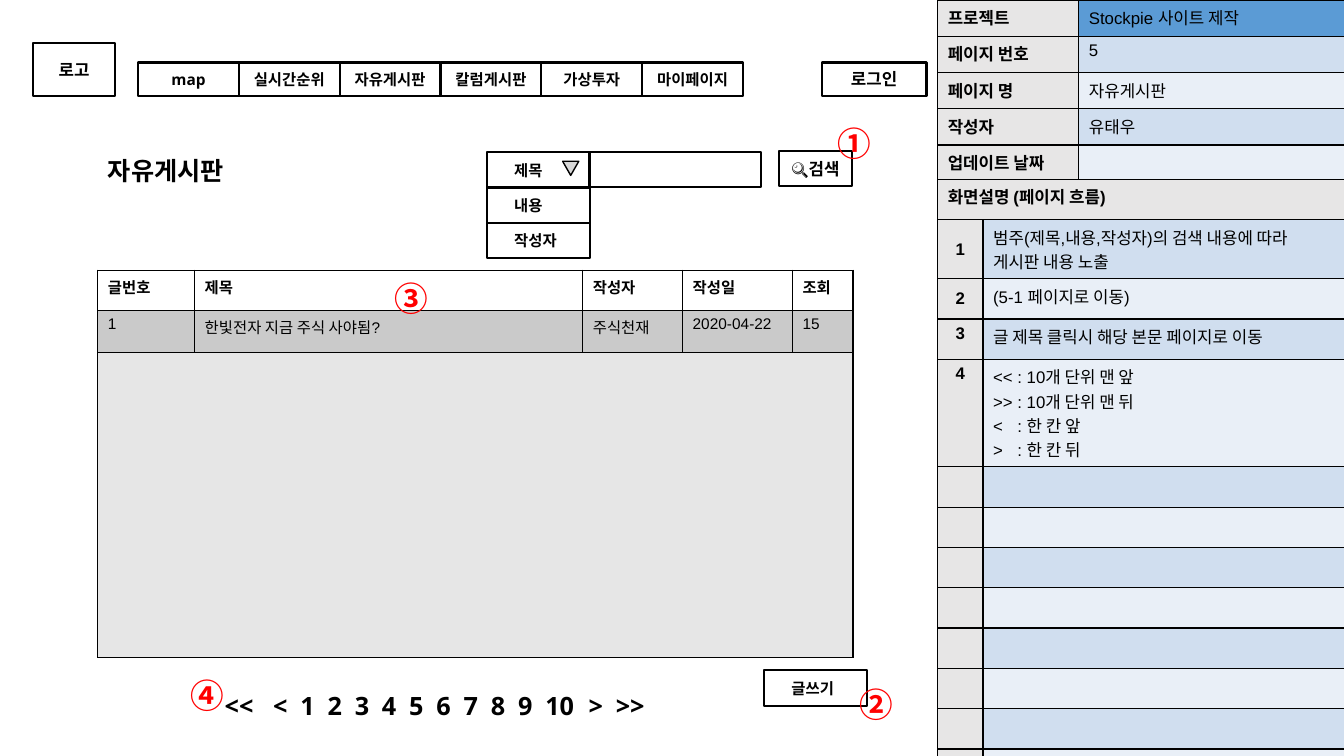
from pptx import Presentation
from pptx.dml.color import RGBColor
from pptx.enum.shapes import MSO_SHAPE
from pptx.enum.text import MSO_ANCHOR, MSO_AUTO_SIZE, PP_ALIGN
from pptx.oxml import parse_xml
from pptx.oxml.ns import nsdecls, qn
from pptx.util import Inches, Pt

BLACK = RGBColor(0x00, 0x00, 0x00)
WHITE = RGBColor(0xFF, 0xFF, 0xFF)
RED = RGBColor(0xFF, 0x00, 0x00)
LABEL = RGBColor(0xE7, 0xE6, 0xE6)
BLUE = RGBColor(0x5B, 0x9B, 0xD5)
BANDS = (RGBColor(0xD0, 0xDE, 0xEF), RGBColor(0xE9, 0xEF, 0xF7))
POST = RGBColor(0xCA, 0xCA, 0xCA)
EMPTY = RGBColor(0xE6, 0xE6, 0xE6)
ARROW = RGBColor(0xD8, 0xD8, 0xD8)
EAST_ASIAN = "Noto Sans CJK KR"

TITLE = "자유게시판"
PROJECT = [
    ("프로젝트", "Stockpie 사이트 제작"),
    ("페이지 번호", "5"),
    ("페이지 명", "자유게시판"),
    ("작성자", "유태우"),
    ("업데이트 날짜", ""),
]
NOTES_HEAD = "화면설명 (페이지 흐름)"
NOTES = [
    ("1", "범주(제목,내용,작성자)의 검색 내용에 따라\n게시판 내용 노출"),
    ("2", "(5-1 페이지로 이동)"),
    ("3", "글 제목 클릭시 해당 본문 페이지로 이동"),
    ("4", "<< : 10개 단위 맨 앞\n>> : 10개 단위 맨 뒤\n<\t: 한 칸 앞\n>\t: 한 칸 뒤"),
] + [("", "")] * 8
NOTE_HEIGHTS = [0.4, 0.49, 0.4, 0.4, 0.89] + [0.4] * 7 + [0.3]
MENU = ["map", "실시간순위", "자유게시판", "칼럼게시판", "가상투자", "마이페이지"]
CATEGORIES = ["제목", "내용", "작성자"]
POSTS = [
    ("글번호", "제목", "작성자", "작성일", "조회"),
    ("1", "한빛전자 지금 주식 사야됨?", "주식천재", "2020-04-22", "15"),
]
BUTTONS = [
    ("로고", 0.33, 0.43, 0.81, 0.52),
    ("로그인", 8.15, 0.62, 1.04, 0.33),
    ("🔍검색", 7.73, 1.5, 0.72, 0.35),
]
MARKERS = [("①", 8.21, 1.17), ("②", 8.43, 6.74), ("③", 3.81, 2.71), ("④", 1.79, 6.65)]
PAGES = ["<<", "<"] + [str(n) for n in range(1, 11)] + [">", ">>"]
PAGE_TABS = [0.48] + [0.75 + 0.27 * i for i in range(10)] + [3.61, 3.88]


def add_tabs(p, stops):
    """Set left tab stops, in inches, on a paragraph."""
    tabs = "".join(f'<a:tab pos="{Inches(x)}" algn="l"/>' for x in stops)
    p._p.get_or_add_pPr().append(parse_xml(f'<a:tabLst {nsdecls("a")}>{tabs}</a:tabLst>'))


def write(tf, text, size, font, color=BLACK, bold=True, align=PP_ALIGN.LEFT):
    """Write text into a frame and format every run."""
    tf.text = text
    tf.word_wrap = True
    for p in tf.paragraphs:
        p.alignment = align
        for r in p.runs or [p.add_run()]:
            r.font.size = Pt(size)
            r.font.name = font
            r.font.bold = bold
            r.font.color.rgb = color
            r._r.get_or_add_rPr().find(qn("a:latin")).addnext(
                parse_xml(f'<a:ea {nsdecls("a")} typeface="{EAST_ASIAN}"/>'))


def set_margins(tf, side, top):
    """Set equal side margins and equal top and bottom margins."""
    tf.margin_left = tf.margin_right = Inches(side)
    tf.margin_top = tf.margin_bottom = Inches(top)


def add_box(s, text, x, y, w, h, size=11, indent=None):
    """Add an outlined box with centred or indented text."""
    sp = s.shapes.add_shape(MSO_SHAPE.RECTANGLE, Inches(x), Inches(y), Inches(w), Inches(h))
    sp.shadow.inherit = False
    sp.fill.background()
    sp.line.color.rgb = BLACK
    sp.line.width = Pt(1.5)
    if text:
        tf = sp.text_frame
        set_margins(tf, indent or 0, 0)
        tf.vertical_anchor = MSO_ANCHOR.MIDDLE
        write(tf, text, size, "Open Sans", align=PP_ALIGN.LEFT if indent else PP_ALIGN.CENTER)


def add_text(s, x, y, w, h):
    """Add a text box and return its frame."""
    return s.shapes.add_textbox(Inches(x), Inches(y), Inches(w), Inches(h)).text_frame


def add_grid(s, x, y, widths, heights):
    """Add a plain table with the given column widths and row heights."""
    tbl = s.shapes.add_table(len(heights), len(widths), Inches(x), Inches(y),
                             Inches(sum(widths)), Inches(sum(heights))).table
    tbl.first_row = tbl.horz_banding = False
    for col, w in zip(tbl.columns, widths):
        col.width = Inches(w)
    for row, h in zip(tbl.rows, heights):
        row.height = Inches(h)
    return tbl


def set_cell(cell, text, fill, size=12, bold=False, align=PP_ALIGN.LEFT):
    """Write, border and fill one table cell."""
    write(cell.text_frame, text, size, "Arial", bold=bold, align=align)
    tcPr = cell._tc.get_or_add_tcPr()
    for side in ("lnL", "lnR", "lnT", "lnB"):
        tcPr.append(parse_xml(
            f'<a:{side} {nsdecls("a")} w="12700"><a:solidFill><a:srgbClr val="{BLACK}"/>'
            f'</a:solidFill></a:{side}>'))
    cell.fill.solid()
    cell.fill.fore_color.rgb = fill


def add_panel(s):
    """Add the project table and the screen notes on the right."""
    tbl = add_grid(s, 9.3, 0, [1.4, 2.64], [0.36] * len(PROJECT))
    for i, (label, value) in enumerate(PROJECT):
        set_cell(tbl.cell(i, 0), label, LABEL, bold=True)
        set_cell(tbl.cell(i, 1), value, BANDS[(i - 1) % 2] if i else BLUE)

    tbl = add_grid(s, 9.3, 1.78, [0.45, 3.59], NOTE_HEIGHTS)
    tbl.cell(0, 0).merge(tbl.cell(0, 1))
    set_cell(tbl.cell(0, 0), NOTES_HEAD, LABEL, bold=True)
    set_cell(tbl.cell(0, 1), "", LABEL)
    for i, (number, note) in enumerate(NOTES):
        set_cell(tbl.cell(i + 1, 0), number, LABEL, bold=True, align=PP_ALIGN.CENTER)
        if number in ("1", "2"):
            tbl.cell(i + 1, 0).vertical_anchor = MSO_ANCHOR.MIDDLE
        set_cell(tbl.cell(i + 1, 1), note, BANDS[i % 2])
        for p in tbl.cell(i + 1, 1).text_frame.paragraphs:
            if "\t" in p.text:
                add_tabs(p, [0.24])


def add_board(s):
    """Add the list of posts."""
    tbl = add_grid(s, 0.97, 2.68, [0.96, 3.85, 0.99, 1.09, 0.6], [0.4, 0.42, 3.02])
    for i, row in enumerate(POSTS):
        for j, text in enumerate(row):
            set_cell(tbl.cell(i, j), text, POST if i else WHITE, 11, bold=i == 0)
    tbl.cell(2, 0).merge(tbl.cell(2, 4))
    for j in range(5):
        set_cell(tbl.cell(2, j), "", EMPTY)


def main():
    """Build the wireframe slide of the free board page."""
    prs = Presentation()
    prs.slide_width, prs.slide_height = Inches(13.33), Inches(7.5)
    s = prs.slides.add_slide(prs.slide_layouts[5])

    title = s.shapes.title
    title.left, title.top = Inches(0.74), Inches(1.51)
    title.width, title.height = Inches(1.81), Inches(0.37)
    tf = title.text_frame
    set_margins(tf, 0.1, 0)
    tf.auto_size = MSO_AUTO_SIZE.NONE
    tf.vertical_anchor = MSO_ANCHOR.MIDDLE
    write(tf, TITLE, 18, "Open Sans", align=PP_ALIGN.CENTER)

    add_panel(s)
    for text, *box in BUTTONS:
        add_box(s, text, *box, size=12)
    for i, text in enumerate(MENU):
        add_box(s, text, 1.37 + i, 0.62, 1, 0.33)
    for i, text in enumerate(CATEGORIES):
        add_box(s, text, 4.83, 1.51 + 0.35 * i, 1.02, 0.35, indent=0.27)
    add_box(s, "", 5.84, 1.51, 1.71, 0.35)
    add_box(s, "글쓰기", 7.58, 6.65, 1.02, 0.35, indent=0.27)

    sp = s.shapes.add_shape(MSO_SHAPE.ISOSCELES_TRIANGLE, Inches(5.58), Inches(1.6),
                            Inches(0.16), Inches(0.14))
    sp.rotation = 180
    sp.shadow.inherit = False
    sp.fill.solid()
    sp.fill.fore_color.rgb = ARROW
    sp.line.color.rgb = BLACK
    sp.line.width = Pt(1)

    add_board(s)
    tf = add_text(s, 2.13, 6.81, 4.88, 0.37)
    set_margins(tf, 0.1, 0)
    tf.vertical_anchor = MSO_ANCHOR.MIDDLE
    write(tf, "\t".join(PAGES), 18, "Open Sans")
    add_tabs(tf.paragraphs[0], PAGE_TABS)
    for text, x, y in MARKERS:
        write(add_text(s, x, y, 0.55, 0.5), text, 24, EAST_ASIAN, RED)

    prs.save("out.pptx")


if __name__ == "__main__":
    main()
